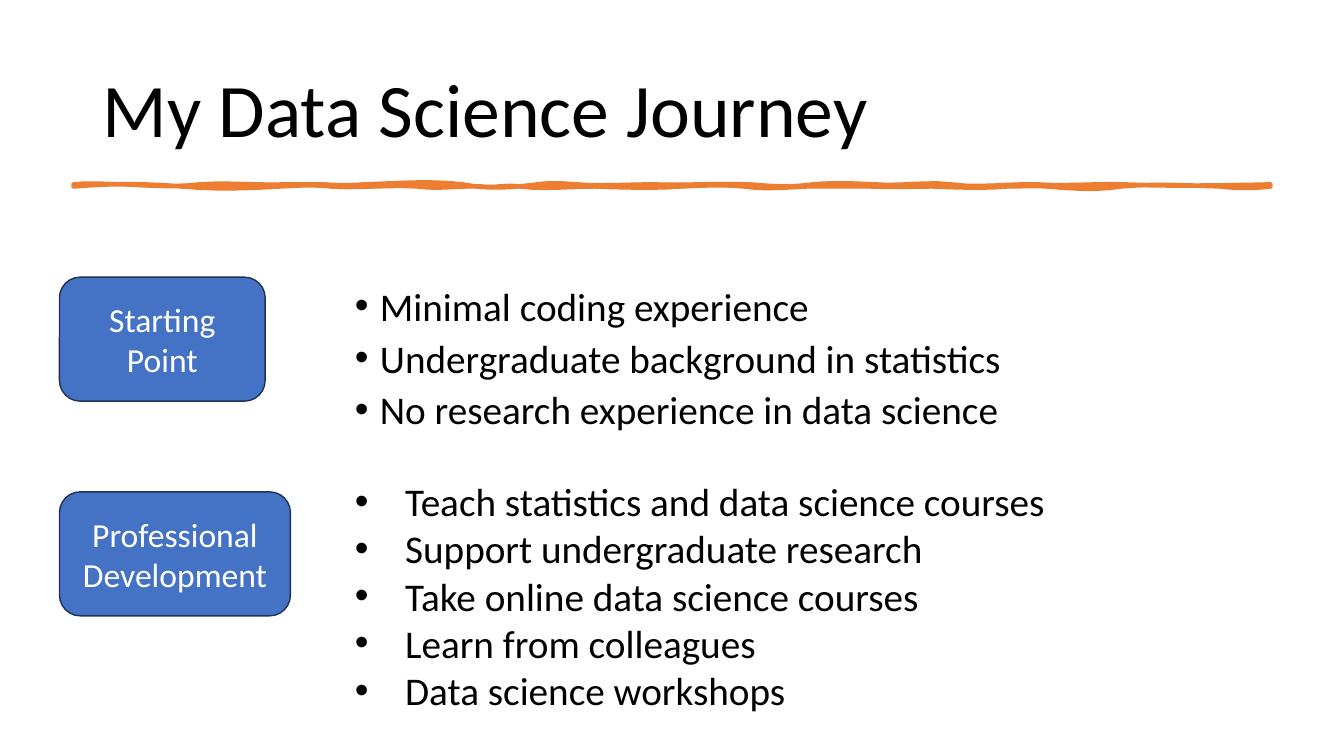
"""Build the data science journey slide."""
import pptx
import pptx.dml.color
import pptx.enum.shapes
import pptx.enum.text
import pptx.oxml
import pptx.oxml.ns
import pptx.util

Inches = pptx.util.Inches
Pt = pptx.util.Pt
RGBColor = pptx.dml.color.RGBColor
MSO_ANCHOR = pptx.enum.text.MSO_ANCHOR
PP_ALIGN = pptx.enum.text.PP_ALIGN

BLACK = RGBColor(0x00, 0x00, 0x00)
WHITE = RGBColor(0xFF, 0xFF, 0xFF)
BLUE = RGBColor(0x44, 0x72, 0xC4)
NAVY = RGBColor(0x1E, 0x32, 0x56)
ORANGE = RGBColor(0xED, 0x7D, 0x31)
FONT = "Calibri"

TITLE = "My Data Science Journey"
STAGES = [
    {
        "label": "Starting\nPoint",
        "label_at": (0.59, 2.75, 2.04, 1.23),
        "list_at": (3.42, 2.23, 6.81, 2.1),
        "indent": 0.25,
        "line_spacing": 0.8,
        "top_margin": 0.66,
        "gap": 10,
        "points": [
            "Minimal coding experience",
            "Undergraduate background in statistics",
            "No research experience in data science",
        ],
    },
    {
        "label": "Professional Development",
        "label_at": (0.59, 4.88, 2.29, 1.23),
        "list_at": (3.42, 4.69, 7.59, 2.46),
        "indent": 0.5,
        "line_spacing": 1.0,
        "top_margin": 0.05,
        "gap": 0,
        "points": [
            "Teach statistics and data science courses",
            "Support undergraduate research",
            "Take online data science courses",
            "Learn from colleagues",
            "Data science workshops",
        ],
    },
]

RULE_LEFT, RULE_TOP, RULE_BOTTOM = 0.73, 1.83, 1.85
RULE_RIGHT = 12.6
CURVE_STEPS = 6
# Each wave: end position, then the two bends in hundredths of an inch.
TOP_WAVES = [
    (1.24, -2, 0), (1.98, 1, 3), (2.84, -2, 1), (3.22, 0, 0),
    (3.61, 1, 1), (4.59, -1, -4), (5.33, 5, 3), (5.72, -2, -1),
    (6.46, 2, 0), (7.44, 1, -1), (8.06, 2, 3), (8.68, -2, -1),
    (9.43, 2, -3), (10.29, 4, -1), (11.15, 2, -1), (12.6, 2, 1),
]
BOTTOM_WAVES = [
    (12.1, 2, 2), (11.12, -1, -3), (10.38, 4, 2), (9.99, -1, 0),
    (9.25, 2, 1), (8.63, 0, 1), (8.0, 0, 0), (7.38, 1, 3),
    (6.76, -2, -1), (5.9, 2, 1), (5.15, 0, 3), (4.77, -2, 2),
    (4.14, -1, 3), (3.28, -2, 2), (2.78, -2, -1), (1.8, 2, 3),
    (0.73, -3, -3),
]


def format_runs(paragraph, size, color):
    """Give every run of a paragraph the slide font."""
    for span in paragraph.runs:
        span.font.name = FONT
        span.font.size = Pt(size)
        span.font.color.rgb = color


def wave_points(start, level, waves):
    """Return points along a chain of cubic waves around a level."""
    points = [(Inches(start), Inches(level))]
    for end, first_bend, second_bend in waves:
        for step in range(1, CURVE_STEPS + 1):
            t = step / CURVE_STEPS
            bend = 3 * t * (1 - t) * ((1 - t) * first_bend + t * second_bend)
            points.append((Inches(start + (end - start) * t),
                           Inches(level + bend / 100)))
        start = end
    return points


def add_title(page):
    """Place and format the title."""
    title = page.shapes.title
    title.left, title.top = Inches(0.92), Inches(0.4)
    title.width, title.height = Inches(11.5), Inches(1.45)
    title.text_frame.text = TITLE
    title.text_frame.vertical_anchor = MSO_ANCHOR.MIDDLE
    para = title.text_frame.paragraphs[0]
    para.alignment = PP_ALIGN.LEFT
    para.line_spacing = 0.9
    format_runs(para, 54, BLACK)


def add_wavy_rule(page):
    """Draw the hand-drawn rule under the title."""
    outline = (wave_points(RULE_LEFT, RULE_TOP, TOP_WAVES)
               + wave_points(RULE_RIGHT, RULE_BOTTOM, BOTTOM_WAVES))
    builder = page.shapes.build_freeform(*outline[0])
    builder.add_line_segments(outline[1:], close=True)
    rule = builder.convert_to_shape()
    rule.shadow.inherit = False
    rule.fill.solid()
    rule.fill.fore_color.rgb = ORANGE
    rule.line.color.rgb = ORANGE
    rule.line.width = Pt(3.25)


def add_bullet(paragraph, indent):
    """Give a paragraph a round bullet with a hanging indent."""
    properties = paragraph._p.get_or_add_pPr()
    properties.set("marL", str(Inches(indent)))
    properties.set("indent", str(-Inches(indent)))
    namespace = pptx.oxml.ns.nsdecls("a")
    for tag in (f'<a:buFont {namespace} typeface="Arial"/>',
                f'<a:buChar {namespace} char="•"/>'):
        properties.append(pptx.oxml.parse_xml(tag))


def add_list(page, stage):
    """Add the bulleted points of a stage."""
    box = page.shapes.add_textbox(*map(Inches, stage["list_at"]))
    box.text_frame.word_wrap = True
    box.text_frame.margin_top = Inches(stage["top_margin"])
    box.text_frame.margin_bottom = 0
    box.text_frame.text = "\n".join(stage["points"])
    for para in box.text_frame.paragraphs:
        para.line_spacing = stage["line_spacing"]
        para.space_before = Pt(stage["gap"])
        add_bullet(para, stage["indent"])
        format_runs(para, 28, BLACK)


def add_label(page, stage):
    """Add the rounded label of a stage."""
    label = page.shapes.add_shape(
        pptx.enum.shapes.MSO_SHAPE.ROUNDED_RECTANGLE,
        *map(Inches, stage["label_at"]))
    label.shadow.inherit = False
    label.fill.solid()
    label.fill.fore_color.rgb = BLUE
    label.line.color.rgb = NAVY
    label.line.width = Pt(1)
    label.text_frame.word_wrap = True
    label.text_frame.vertical_anchor = MSO_ANCHOR.MIDDLE
    label.text_frame.text = stage["label"]
    for para in label.text_frame.paragraphs:
        para.alignment = PP_ALIGN.CENTER
        format_runs(para, 24, WHITE)


def main():
    """Build and save the deck."""
    deck = pptx.Presentation()
    deck.slide_width, deck.slide_height = Inches(13.33), Inches(7.5)
    page = deck.slides.add_slide(deck.slide_layouts[5])
    add_title(page)
    add_wavy_rule(page)
    for stage in STAGES:
        add_list(page, stage)
        add_label(page, stage)
    deck.save("out.pptx")


if __name__ == "__main__":
    main()
